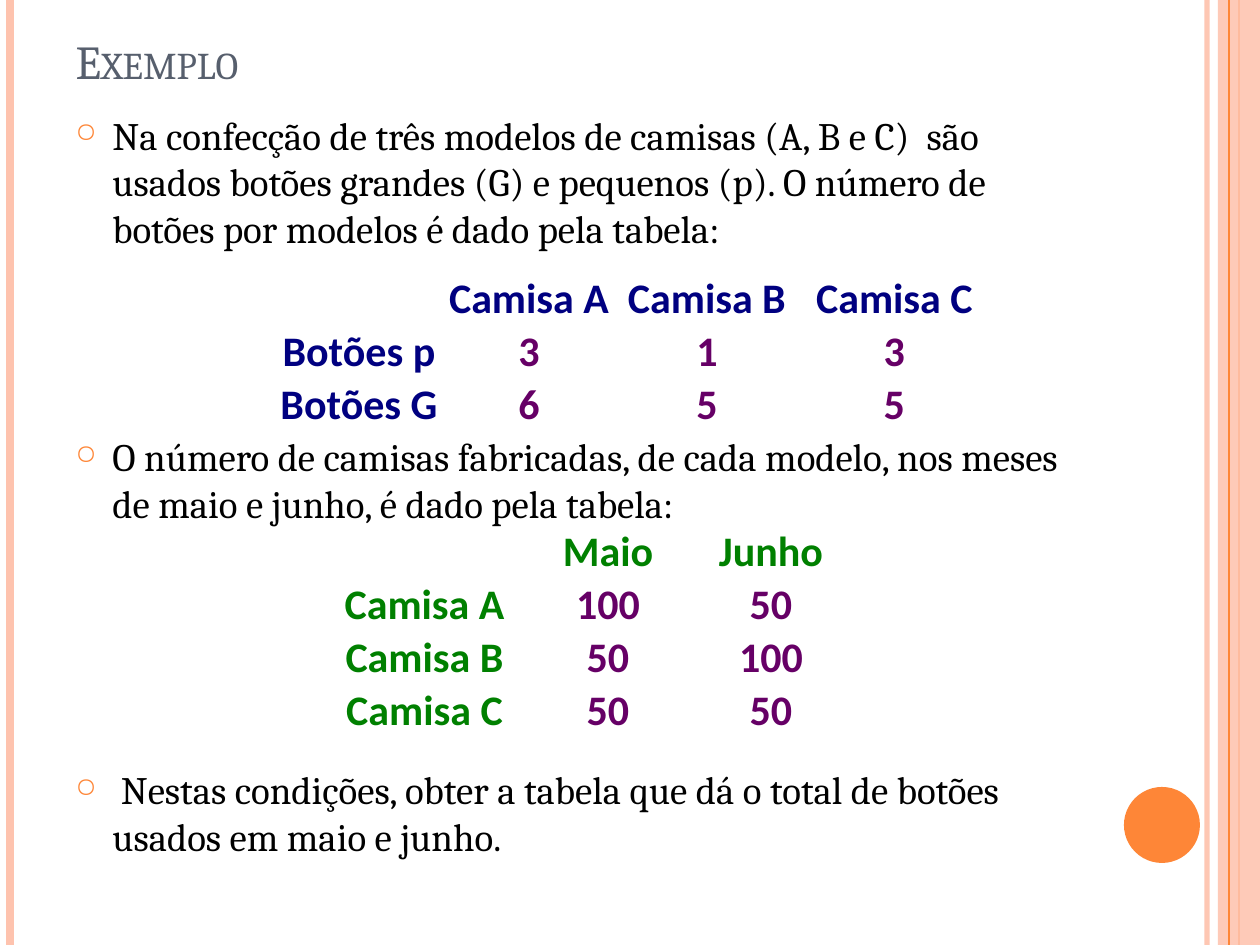
from pptx import Presentation
from pptx.dml.color import RGBColor
from pptx.enum.shapes import MSO_CONNECTOR, MSO_SHAPE
from pptx.enum.text import MSO_ANCHOR, MSO_AUTO_SIZE, PP_ALIGN
from pptx.oxml.ns import qn
from pptx.util import Pt
from lxml.etree import SubElement

PX = 914400 / 126
WIDE, HIGH = 1260, 945

PEACH = RGBColor(0xFE, 0xC3, 0xAE)
ORANGE = RGBColor(0xFE, 0x86, 0x37)
SLATE = RGBColor(0x57, 0x5F, 0x6D)
BLACK = RGBColor(0, 0, 0)
NAVY = RGBColor(0, 0, 0x80)
GREEN = RGBColor(0, 0x80, 0)
PURPLE = RGBColor(0x66, 0, 0x66)

# Content
TITLE = "Exemplo"
ITEMS = [  # text, space before in points
    ("Na confecção de três modelos de camisas (A, B e C)  são usados botões "
     "grandes (G) e pequenos (p). O número de botões por modelos é dado pela tabela:", 0),
    ("O número de camisas fabricadas, de cada modelo, nos meses de maio e junho, "
     "é dado pela tabela:", 104),
    (" Nestas condições, obter a tabela que dá o total de botões usados em maio "
     "e junho.", 137),
]
TABLES = [
    {"at": (273, 273), "cols": (172, 168, 188, 187), "head": NAVY, "rows": [
        ("", "Camisa A", "Camisa B", "Camisa C"),
        ("Botões p", "3", "1", "3"),
        ("Botões G", "6", "5", "5")]},
    {"at": (325, 526), "cols": (199, 168, 158), "head": GREEN, "rows": [
        ("", "Maio", "Junho"),
        ("Camisa A", "100", "50"),
        ("Camisa B", "50", "100"),
        ("Camisa C", "50", "50")]},
]
ROW = 53
RULES = [  # x, colour, width in points, opacity in percent
    (1207, PEACH, 3, 93), (10, PEACH, 4.5, 100), (1239, ORANGE, 1.5, 100)]
EDGE = (1229, ORANGE, 0.75, 100)
PLAIN = "{2D5ABB26-0587-4C30-8999-92F81FD0307C}"  # no style, no grid


def px(*nums):
    return [round(n * PX) for n in nums]


def style(obj, **vals):
    for key, val in vals.items():
        setattr(obj, key, val)


def ink(font, color, **vals):
    style(font, **vals)
    font.color.rgb = color


def fade(fill, pct):
    clr = fill._xPr.find(qn("a:solidFill"))[0]
    SubElement(clr, qn("a:alpha"), val=str(pct * 1000))


def rule(x, color, width, pct):
    line = slide.shapes.add_connector(MSO_CONNECTOR.STRAIGHT, *px(x, 0, x, HIGH))
    line.line.color.rgb = color
    line.line.width = Pt(width)
    if pct < 100:
        fade(line.line.fill, pct)
    SubElement(line._element.spPr, qn("a:effectLst"))


def block(kind, color, *box):
    shape = slide.shapes.add_shape(kind, *px(*box))
    shape.shadow.inherit = False
    shape.fill.solid()
    shape.fill.fore_color.rgb = color
    shape.line.fill.background()
    return shape


def bullet(para):
    props = para._p.get_or_add_pPr()
    left = px(37)[0]
    props.set("marL", str(left))
    props.set("indent", str(-left))
    tint = SubElement(props, qn("a:buClr"))
    SubElement(tint, qn("a:srgbClr"), val=str(ORANGE))
    SubElement(props, qn("a:buSzPct"), val="70000")
    SubElement(props, qn("a:buChar"), char="○")


def grid(at, cols, head, rows):
    frame = slide.shapes.add_table(
        len(rows), len(cols), *px(*at, sum(cols), ROW * len(rows)))
    table = frame.table
    style(table, first_row=False, horz_banding=False)
    table._tbl.tblPr.find(qn("a:tableStyleId")).text = PLAIN
    for col, width in zip(table.columns, px(*cols)):
        col.width = width
    gap = px(1)[0]
    for r, row in enumerate(rows):
        table.rows[r].height = px(ROW)[0]
        for c, text in enumerate(row):
            cell = table.cell(r, c)
            cell.fill.background()
            style(cell, vertical_anchor=MSO_ANCHOR.MIDDLE, margin_left=gap,
                  margin_right=gap, margin_top=gap, margin_bottom=gap)
            if text:
                para = cell.text_frame.paragraphs[0]
                para.alignment = PP_ALIGN.CENTER
                run = para.add_run()
                run.text = text
                ink(run.font, PURPLE if r and c else head,
                    name="Calibri", size=Pt(24), bold=True)


deck = Presentation()
deck.slide_width, deck.slide_height = px(WIDE, HIGH)
slide = deck.slides.add_slide(deck.slide_layouts[5])

# Side bands and dot
for spec in RULES:
    rule(*spec)
band = block(MSO_SHAPE.RECTANGLE, PEACH, 1218, 0, 42, HIGH)
fade(band.fill, 87)
rule(*EDGE)
block(MSO_SHAPE.OVAL, ORANGE, 1124, 787, 76, 76)

# Title
title = slide.shapes.title
title.left, title.top, title.width, title.height = px(63, 38, 1029, 57)
style(title.text_frame, text=TITLE, vertical_anchor=MSO_ANCHOR.BOTTOM,
      auto_size=MSO_AUTO_SIZE.NONE, word_wrap=True)
para = title.text_frame.paragraphs[0]
para.alignment = PP_ALIGN.LEFT
font = para.runs[0].font
ink(font, SLATE, name="Cambria", size=Pt(27))
font._element.set("cap", "small")

# Bulleted text
body = slide.shapes.add_textbox(*px(63, 105, 1029, 787)).text_frame
body.word_wrap = True
for i, (text, space) in enumerate(ITEMS):
    para = body.add_paragraph() if i else body.paragraphs[0]
    para.space_before = Pt(space)
    bullet(para)
    run = para.add_run()
    run.text = text
    ink(run.font, BLACK, name="Cambria", size=Pt(22.2))

# Tables
for item in TABLES:
    grid(**item)

deck.save("out.pptx")
